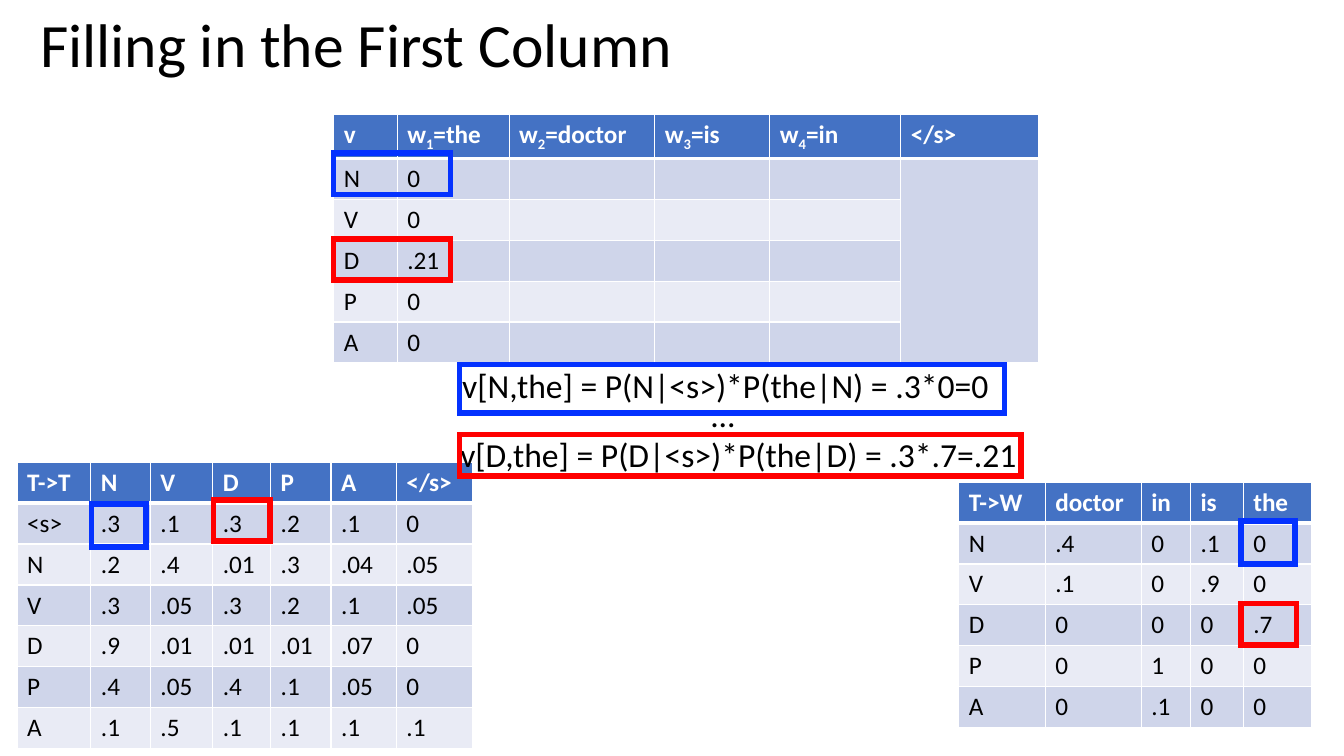
from lxml import etree
from pptx import Presentation
from pptx.dml.color import RGBColor
from pptx.enum.shapes import MSO_SHAPE
from pptx.enum.text import MSO_ANCHOR, MSO_AUTO_SIZE
from pptx.oxml.ns import qn
from pptx.util import Cm, Pt

RECTANGLE = MSO_SHAPE.RECTANGLE
MIDDLE = MSO_ANCHOR.MIDDLE
TOP = MSO_ANCHOR.TOP
FIT_TEXT = MSO_AUTO_SIZE.SHAPE_TO_FIT_TEXT
NO_FIT = MSO_AUTO_SIZE.NONE

COLORS = {
    "text": "000000",
    "header_text": "FFFFFF",
    "border": "FFFFFF",
    "header": "4472C4",
    "odd_row": "CFD5EA",
    "even_row": "E9EBF5",
    "blue": "0432FF",
    "red": "FF0000",
}
ROW_HEIGHT = 1.03


def color(name):
    return RGBColor.from_string(COLORS[name])


def write(text_frame, text, size=18, color_name="text", bold=False, line_spacing=1.0):
    paragraph = text_frame.paragraphs[0]
    paragraph.line_spacing = line_spacing
    base, _, rest = text.partition("_")
    for part, baseline in ((base, None), (rest[:1], "-25000"), (rest[1:], None)):
        if part:
            run = paragraph.add_run()
            run.text = part
            run.font.name = "Calibri"
            run.font.size = Pt(size)
            run.font.bold = bold
            run.font.color.rgb = color(color_name)
            if baseline:
                run._r.get_or_add_rPr().set("baseline", baseline)


presentation = Presentation()
presentation.slide_width = Cm(33.87)
presentation.slide_height = Cm(19.05)
slide = presentation.slides.add_slide(presentation.slide_layouts[6])

transitions = [
    ["T->T", "N", "V", "D", "P", "A", "</s>"],
    ["<s>", ".3", ".1", ".3", ".2", ".1", "0"],
    ["N", ".2", ".4", ".01", ".3", ".04", ".05"],
    ["V", ".3", ".05", ".3", ".2", ".1", ".05"],
    ["D", ".9", ".01", ".01", ".01", ".07", "0"],
    ["P", ".4", ".05", ".4", ".1", ".05", "0"],
    ["A", ".1", ".5", ".1", ".1", ".1", ".1"],
]
viterbi = [
    ["v", "w_1=the", "w_2=doctor", "w_3=is", "w_4=in", "</s>"],
    ["N", "0", "", "", "", ""],
    ["V", "0", "", "", "", ""],
    ["D", ".21", "", "", "", ""],
    ["P", "0", "", "", "", ""],
    ["A", "0", "", "", "", ""],
]
emissions = [
    ["T->W", "doctor", "in", "is", "the"],
    ["N", ".4", "0", ".1", "0"],
    ["V", ".1", "0", ".9", "0"],
    ["D", "0", "0", "0", ".7"],
    ["P", "0", "1", "0", "0"],
    ["A", "0", ".1", "0", "0"],
]
tables = [
    (transitions, 0.43, 11.65, [1.86, 1.5, 1.57, 1.46, 1.52, 1.65, 1.93]),
    (viterbi, 8.41, 2.88, [1.6, 2.82, 3.67, 2.9, 3.3, 3.47]),
    (emissions, 24.16, 12.15, [2.18, 2.42, 1.24, 1.33, 1.73]),
]
for rows, left, top, widths in tables:
    frame = slide.shapes.add_table(
        len(rows), len(widths), Cm(left), Cm(top),
        Cm(sum(widths)), Cm(ROW_HEIGHT * len(rows)))
    table = frame.table
    for column, width in zip(table.columns, widths):
        column.width = Cm(width)
    for row_index, row in enumerate(rows):
        table.rows[row_index].height = Cm(ROW_HEIGHT)
        is_header = row_index == 0
        fill_name = "header" if is_header else ("even_row", "odd_row")[row_index % 2]
        for column_index, text in enumerate(row):
            cell = table.cell(row_index, column_index)
            cell.fill.solid()
            cell.fill.fore_color.rgb = color(fill_name)
            write(cell.text_frame, text, bold=is_header,
                  color_name="header_text" if is_header else "text")
            if is_header:
                border = etree.Element(qn("a:lnB"), w=str(Pt(3)))
                border_fill = etree.SubElement(border, qn("a:solidFill"))
                etree.SubElement(border_fill, qn("a:srgbClr"), val=COLORS["border"])
                cell._tc.get_or_add_tcPr().insert(0, border)
    if rows is viterbi:
        table.cell(1, 5).merge(table.cell(5, 5))

texts = [
    ("Filling in the First Column", 0.76, -0.64, 29.21, 3.68, 44, 0.9, MIDDLE, True, NO_FIT),
    ("v[N,the] = P(N|<s>)*P(the|N) = .3*0=0", 11.4, 9.07, 13.89, 1.27, 24, 1.0, TOP, False, FIT_TEXT),
    ("v[D,the] = P(D|<s>)*P(the|D) = .3*.7=.21", 11.35, 10.82, 14.66, 1.27, 24, 1.0, TOP, False, FIT_TEXT),
    ("...", 17.65, 9.8, 1.4, 1.27, 24, 1.0, TOP, False, FIT_TEXT),
]
for text, left, top, width, height, size, spacing, anchor, wrap, fit in texts:
    box = slide.shapes.add_textbox(Cm(left), Cm(top), Cm(width), Cm(height))
    box.text_frame.word_wrap = wrap
    box.text_frame.auto_size = fit
    box.text_frame.vertical_anchor = anchor
    write(box.text_frame, text, size=size, line_spacing=spacing)

highlights = [
    ("blue", 8.41, 3.86, 2.95, 1.04),
    ("blue", 11.58, 9.19, 13.74, 1.22),
    ("blue", 2.31, 12.7, 1.37, 1.09),
    ("blue", 31.27, 13.13, 1.37, 1.09),
    ("red", 8.41, 6.02, 2.95, 1.04),
    ("red", 5.38, 12.6, 1.42, 1.04),
    ("red", 11.58, 10.95, 14.15, 1.04),
    ("red", 31.27, 15.21, 1.4, 1.04),
]
for color_name, left, top, width, height in highlights:
    shape = slide.shapes.add_shape(RECTANGLE, Cm(left), Cm(top), Cm(width), Cm(height))
    shape.shadow.inherit = False
    shape.fill.background()
    shape.line.color.rgb = color(color_name)
    shape.line.width = Pt(4)
    outline = shape.line._get_or_add_ln()
    etree.SubElement(outline, qn("a:miter"), lim="800000")

presentation.save("out.pptx")
